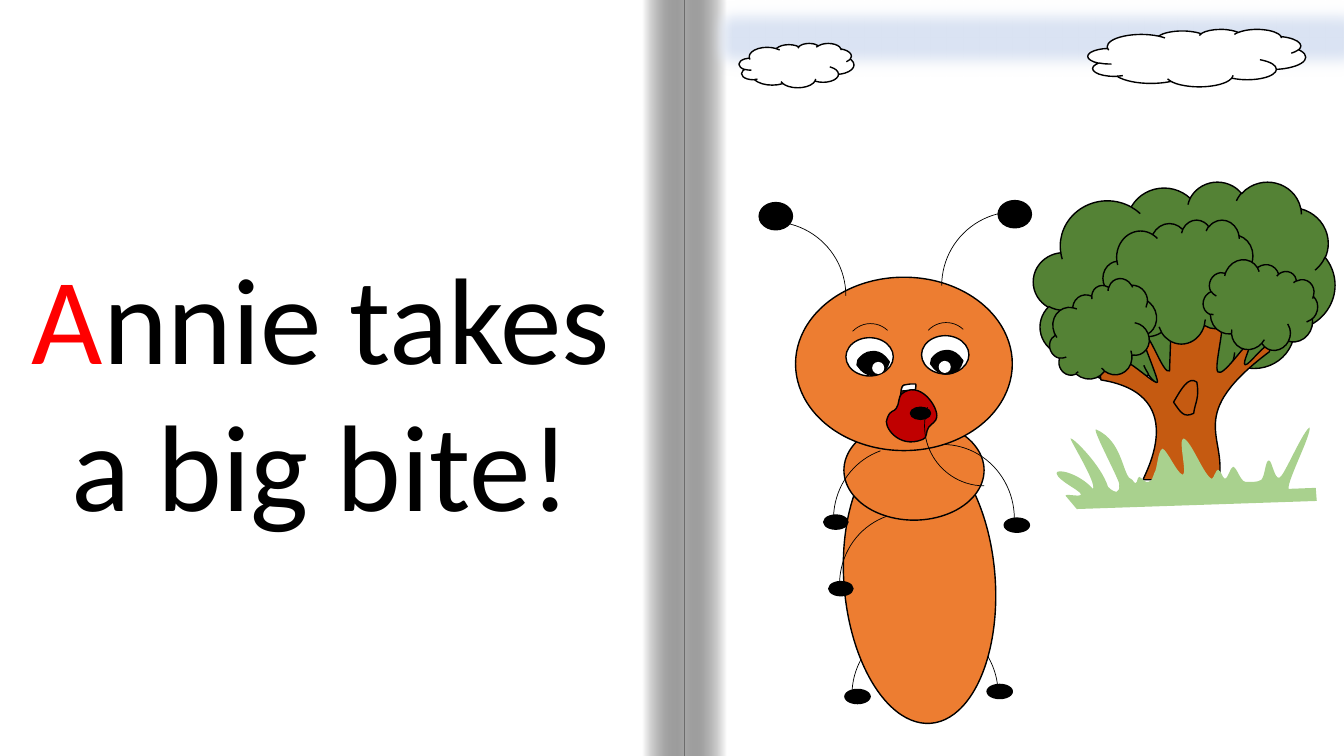
from lxml.etree import SubElement
from pptx import Presentation
from pptx.dml.color import RGBColor
from pptx.enum.shapes import MSO_SHAPE
from pptx.enum.text import MSO_ANCHOR, MSO_AUTO_SIZE, PP_ALIGN
from pptx.oxml.ns import qn
from pptx.util import Inches, Pt

CELL = Inches(0.01)  # the slide is a grid of 1333 columns and 750 rows
COLS, ROWS = 1333, 750
RECT, OVAL, ARC, CLOUD = MSO_SHAPE.RECTANGLE, MSO_SHAPE.OVAL, MSO_SHAPE.ARC, MSO_SHAPE.CLOUD
BLACK, WHITE, SKY = "000000", "FFFFFF", "DAE3F3"
LEAF, BARK, GRASS, ANT = "548235", "C55A11", "A9D18E", "ED7D31"
MOUTH, THROAT, TONGUE = "C00000", "8E1100", "DD2E35"

deck = Presentation()
deck.slide_width, deck.slide_height = COLS * CELL, ROWS * CELL
slide = deck.slides.add_slide(deck.slide_layouts[5])
shapes = slide.shapes


def trace(segs, shift):
    """Build a closed outline: pairs are corners, sixes are cubic curves."""
    dx, dy = shift
    ends = [((s[-2] + dx) * CELL, (s[-1] + dy) * CELL) for s in segs]
    pen = shapes.build_freeform(*ends[0], scale=1.0)
    pen.add_line_segments(ends[1:], close=True)
    shape = pen.convert_to_shape()
    for step, seg in zip(list(shape.element.iter(qn("a:lnTo"))), segs[1:]):
        if len(seg) == 6:
            curve = step.makeelement(qn("a:cubicBezTo"))
            step.getparent().replace(step, curve)
            for x, y in zip(seg[::2], seg[1::2]):
                SubElement(curve, qn("a:pt"), x=str(round((x + dx) * CELL - shape.left)),
                           y=str(round((y + dy) * CELL - shape.top)))
    return shape


def put(form, at, fill=None, line=None, hue=BLACK, flip=False, turn=0, sweep=None):
    """Add a preset in the box `at`, or an outline of segments shifted by `at`."""
    if isinstance(form, list):
        shape = trace(form, at)
    else:
        shape = shapes.add_shape(form, *[n * CELL for n in at])
    shape.shadow.inherit = False
    shape.rotation = turn
    if flip:
        shape.element.spPr.find(qn("a:xfrm")).set("flipH", "1")
    if sweep:
        shape.adjustments[0], shape.adjustments[1] = sweep
    if fill:
        shape.fill.solid()
        shape.fill.fore_color.rgb = RGBColor.from_string(fill)
    else:
        shape.fill.background()
    if line:
        shape.line.width = Pt(line)
        shape.line.color.rgb = RGBColor.from_string(hue)
    else:
        shape.line.fill.background()
    return shape


# Book page and shaded fold
put(RECT, (0, 0, 637, ROWS), WHITE)
for left, flip in ((679, False), (637, True)):
    fold = put(RECT, (left, 0, 42, ROWS), flip=flip)
    fold.fill.gradient()
    fold.fill.gradient_angle = 180
    for stop, tint, spot in zip(fold.fill.gradient_stops, (WHITE, BLACK), (0, 1)):
        stop.color.rgb = RGBColor.from_string(tint)
        stop.position = spot
    shade = fold.element.spPr.findall(".//" + qn("a:srgbClr"))[1]
    SubElement(shade, qn("a:alpha"), val="34000")

# Sentence
title = shapes.title
shapes.element.append(title.element)
title.left, title.top, title.width, title.height = [n * CELL for n in (0, 234, 637, 306)]
frame = title.text_frame
frame.word_wrap = True
frame.auto_size = MSO_AUTO_SIZE.NONE
frame.vertical_anchor = MSO_ANCHOR.TOP
para = frame.paragraphs[0]
para.alignment = PP_ALIGN.CENTER
para.line_spacing = 1.0
for words, tint in (("A", "FF0000"), ("nnie takes a big bite!", BLACK)):
    run = para.add_run()
    run.text = words
    run.font.name, run.font.size = "Calibri", Pt(88)
    run.font.color.rgb = RGBColor.from_string(tint)

# Tree
trunk = [
    (1162, 310), (1209, 310), (1219, 313, 1203, 364, 1208, 369), (1213, 374, 1232, 345, 1238, 341),
    (1245, 336, 1231, 361, 1235, 362), (1238, 364, 1265, 327, 1259, 349),
    (1175, 412, 1217, 432, 1209, 476), (1134, 476), (1130, 479, 1186, 392, 1092, 377),
    (1088, 357, 1099, 360, 1106, 360), (1108, 343, 1150, 388, 1148, 378),
    (1146, 368, 1129, 330, 1133, 331), (1139, 326, 1154, 373, 1160, 368), (1162, 310)]
blades = [
    (1057, 492), (1055, 489, 1074, 494, 1072, 490), (1070, 486, 1050, 477, 1048, 470),
    (1046, 464, 1070, 469, 1084, 485), (1088, 479, 1060, 435, 1062, 435),
    (1064, 434, 1092, 461, 1099, 483), (1107, 491, 1111, 488, 1110, 481),
    (1113, 481, 1083, 426, 1087, 426), (1115, 438, 1113, 474, 1123, 476),
    (1129, 485, 1127, 473, 1130, 473), (1132, 474, 1137, 480, 1139, 478),
    (1143, 477, 1143, 474, 1145, 469), (1148, 465, 1148, 448, 1153, 445),
    (1158, 447, 1167, 469, 1173, 471), (1178, 471, 1168, 435, 1174, 435),
    (1182, 438, 1194, 472, 1202, 475), (1204, 474, 1206, 466, 1208, 466),
    (1211, 466, 1212, 474, 1215, 475), (1218, 475, 1220, 464, 1223, 463),
    (1227, 464, 1230, 477, 1235, 478), (1239, 478, 1247, 479, 1251, 476),
    (1255, 472, 1255, 455, 1259, 457), (1262, 458, 1265, 481, 1271, 472),
    (1277, 464, 1293, 427, 1299, 424), (1300, 433, 1277, 476, 1278, 485),
    (1305, 484), (1306, 497), (1068, 505), (1057, 492)]
knot = [(1164, 399), (1172, 385, 1179, 373, 1187, 379), (1190, 395, 1185, 400, 1184, 410),
        (1174, 415, 1171, 409, 1164, 399)]
put(CLOUD, (1025, 180, 299, 211), LEAF, 1)
put(trunk, (0, 0), BARK, 1)
for box, turn in (((1094, 218, 152, 123), 0), ((1194, 260, 111, 89), 26.5),
                  ((1039, 285, 111, 89), 338.5)):
    put(CLOUD, box, LEAF, 1, turn=turn)
put(blades, (0, 0), GRASS)
put(knot, (0, 0), line=1)

# Sky
band = put(RECT, (696, -5, 667, 85), SKY, 1, hue=SKY)
SubElement(band.element.spPr.find(qn("a:effectLst")), qn("a:softEdge"), rad=str(Pt(12.5)))
for box in ((733, 43, 114, 44), (1079, 29, 216, 57)):
    put(CLOUD, box, WHITE, 1)

# Ant: legs, body, arm and feelers
put(ARC, (845, 616, 147, 147), line=0.5, flip=True)
put(ARC, (843, 615, 147, 147), line=0.5)
for box, turn in (((770, 501, 284, 150), 85.5), ((837, 417, 139, 99), 0),
                  ((789, 275, 215, 172), 0)):
    put(OVAL, box, ANT, 1, turn=turn)
for box, flip in (((864, 441, 142, 147), False), ((934, 210, 147, 147), True),
                  ((692, 220, 147, 147), False)):
    put(ARC, box, line=0.5, flip=flip)
for left, top in ((990, 199), (753, 201)):
    put(OVAL, (left, top, 33, 27), BLACK, 1)
for left, top in ((996, 514), (979, 679), (838, 684)):
    put(OVAL, (left, top, 25, 14), BLACK, 1)

# Eyes
pupil = [
    (923, 361), (924, 356), (927, 352, 932, 348, 937, 348), (942, 347, 947, 349, 951, 353),
    (955, 358), (953, 363), (951, 367, 946, 371, 941, 371), (936, 372, 931, 370, 927, 366),
    (923, 361)]
for brow, eye, shift, glint in (((914, 320), (914, 333), (0, 0), (931, 358)),
                                ((839, 321), (839, 335), (-73, 1), (865, 359))):
    put(ARC, (*brow, 49, 49), line=0.5, flip=True, turn=43.5)
    put(OVAL, (*eye, 47, 38), WHITE, 1)
    put(pupil, shift, BLACK, 1)
    put(OVAL, (*glint, 12, 12), WHITE)

# Left arms with hands
for arm, hand in (((827, 443), (817, 511)), ((833, 508), (822, 577))):
    put(ARC, (*arm, 142, 147), line=0.5, flip=True, turn=340.4, sweep=(162, 204.02))
    put(OVAL, (*hand, 24, 14), BLACK, 1)

# Mouth from the inside out, and the hand at it
corner = [(910, 401), (911, 401), (911, 401, 910, 401, 909, 401), (909, 402), (909, 401)]
throat = [(894, 387), (894, 386, 895, 382, 897, 382), (898, 382, 901, 382, 903, 382),
          (904, 382, 906, 382, 907, 382), (908, 382, 908, 384, 908, 386),
          (908, 387, 906, 387, 906, 388), (905, 389, 905, 392, 905, 394),
          (904, 395, 905, 397, 905, 398), (906, 399, 906, 400, 907, 400),
          (908, 401, 910, 401, 908, 402), (904, 403, 903, 405, 901, 407),
          (899, 408, 897, 408, 895, 406), (894, 405, 893, 402, 892, 399),
          (892, 393, 893, 392, 894, 387)]
tooth = [(908, 381), (909, 381, 908, 385, 908, 386), (907, 387), (894, 388), (894, 387),
         (894, 386, 895, 382, 897, 382), (898, 382, 901, 381, 903, 381), (908, 381)]
tongue = [(903, 391), (903, 391, 904, 392, 905, 392), (905, 393, 905, 393, 905, 394),
          (905, 395, 905, 397, 905, 398), (906, 399, 906, 400, 907, 400),
          (908, 401, 910, 401, 908, 402), (904, 403, 903, 405, 901, 407),
          (899, 408, 897, 408, 896, 406), (894, 405, 893, 402, 893, 399),
          (892, 398, 892, 397, 892, 397), (893, 395), (894, 393, 896, 392, 899, 394),
          (901, 392, 902, 392, 903, 391)]
chin = [(908, 404), (908, 405, 907, 406, 905, 407), (904, 407), (905, 406),
        (906, 406, 906, 405, 907, 405), (908, 404)]
lips = [(880, 415), (883, 406, 887, 409, 889, 405), (892, 401, 891, 394, 894, 391),
        (912, 376, 931, 404, 929, 414), (929, 418, 923, 421, 921, 424),
        (918, 428, 920, 435, 915, 436), (891, 446, 875, 422, 880, 415)]
for part, tint in ((corner, BLACK), (throat, THROAT), (tooth, WHITE), (tongue, TONGUE),
                   (chin, BLACK), (lips, MOUTH)):
    put(part, (0, 0), tint, 1)
put(ARC, (917, 363, 119, 119), line=0.5, turn=198.1, sweep=(151.32, 0))
put(OVAL, (903, 404, 20, 12), BLACK, 1)

deck.save("out.pptx")
